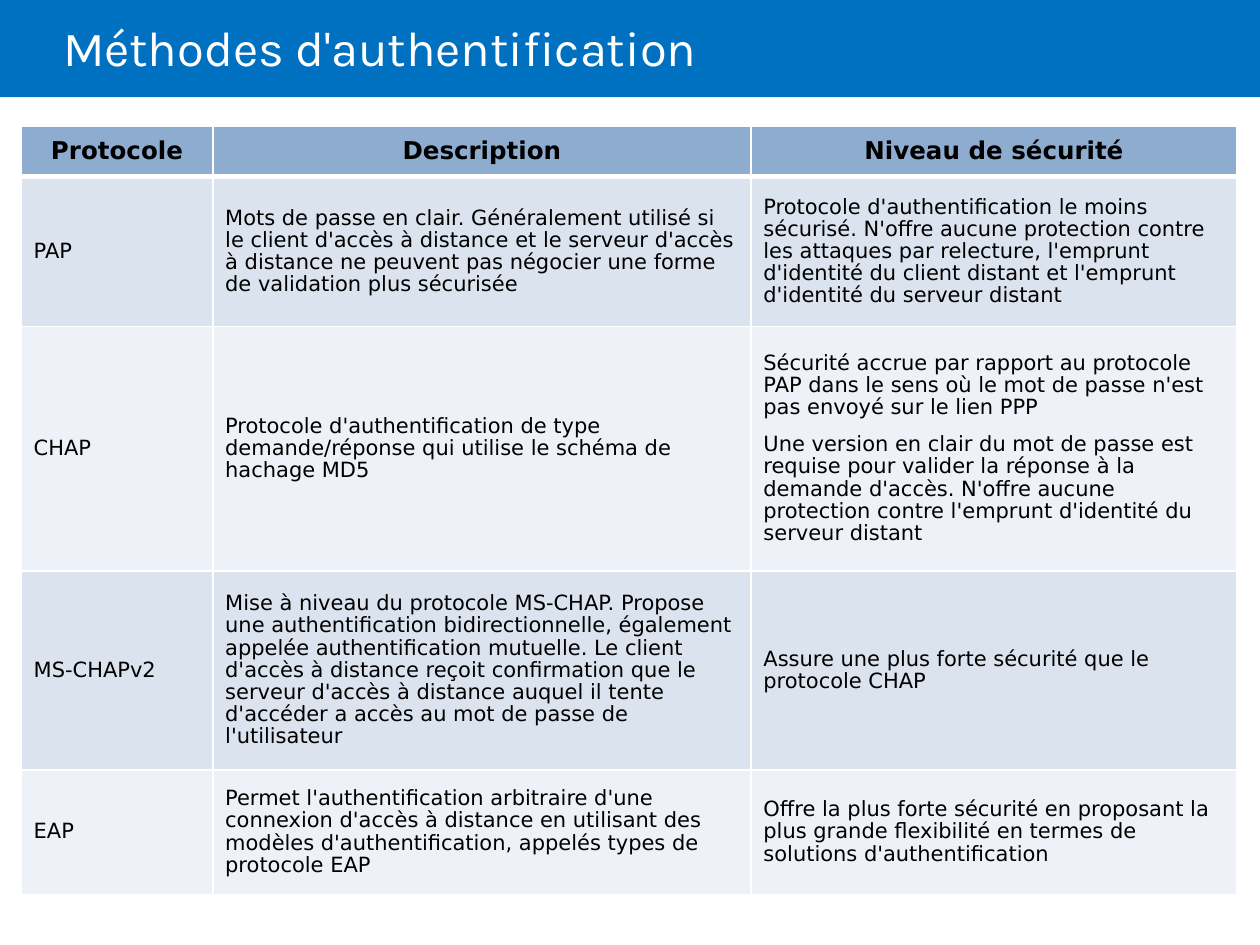
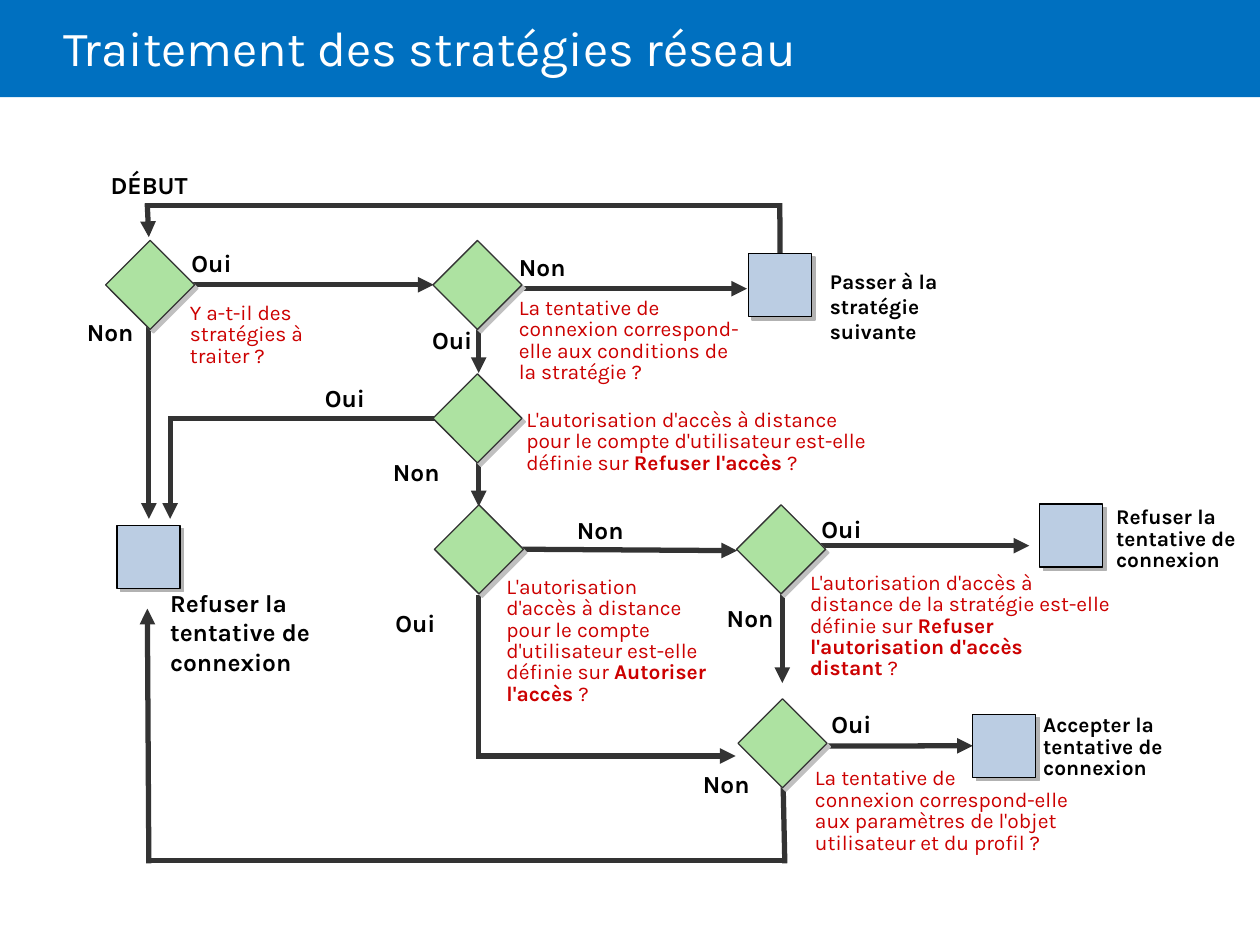
from dataclasses import dataclass
from itertools import pairwise

from lxml.etree import SubElement
from pptx import Presentation
from pptx.dml.color import RGBColor
from pptx.enum.shapes import MSO_CONNECTOR as ConnectorKind, MSO_SHAPE as ShapeKind
from pptx.enum.text import MSO_ANCHOR as Anchor, MSO_AUTO_SIZE as AutoSize, PP_ALIGN as Align
from pptx.oxml.ns import qn
from pptx.shapes.autoshape import Shape
from pptx.shapes.connector import Connector
from pptx.slide import Slide
from pptx.table import _Cell as Cell
from pptx.util import Cm, Pt

# Shared look
WHITE = RGBColor(0xFF, 0xFF, 0xFF)
BLACK = RGBColor(0, 0, 0)
BAND_BLUE = RGBColor(0, 0x70, 0xC0)
HEADER_BLUE = RGBColor(0x8D, 0xAC, 0xD0)
ROW_FILLS = (RGBColor(0xDB, 0xE3, 0xEE), RGBColor(0xEE, 0xF1, 0xF7))
DARK = RGBColor(0x33, 0x33, 0x33)
RED = RGBColor(0xCC, 0, 0)
GREEN = RGBColor(0xAD, 0xE2, 0xA1)
PALE_BLUE = RGBColor(0xBB, 0xCD, 0xE3)
DECISION_SHADOW = RGBColor(0xC0, 0xC0, 0xC0)
RESULT_SHADOW = RGBColor(0xB2, 0xB2, 0xB2)
TITLE_FONT = "Karla"
TABLE_FONT = "DejaVu Sans"
NODE_SIZE = Cm(1.27)

# Table contents; a cell may hold several paragraphs, one per line
COLUMN_WIDTHS = (3.86, 10.85, 9.8)
ROW_HEIGHTS = (0.99, 3.02, 4.93, 4.01, 2.51)
PROTOCOLS = (
    ("Protocole", "Description", "Niveau de sécurité"),
    ("PAP",
     "Mots de passe en clair. Généralement utilisé si le client d'accès à distance et le serveur "
     "d'accès à distance ne peuvent pas négocier une forme de validation plus sécurisée",
     "Protocole d'authentification le moins sécurisé. N'offre aucune protection contre les "
     "attaques par relecture, l'emprunt d'identité du client distant et l'emprunt d'identité "
     "du serveur distant"),
    ("CHAP",
     "Protocole d'authentification de type demande/réponse qui utilise le schéma de hachage MD5",
     "Sécurité accrue par rapport au protocole PAP dans le sens où le mot de passe n'est pas "
     "envoyé sur le lien PPP\n"
     "Une version en clair du mot de passe est requise pour valider la réponse à la demande "
     "d'accès. N'offre aucune protection contre l'emprunt d'identité du serveur distant"),
    ("MS-CHAPv2",
     "Mise à niveau du protocole MS-CHAP. Propose une authentification bidirectionnelle, "
     "également appelée authentification mutuelle. Le client d'accès à distance reçoit "
     "confirmation que le serveur d'accès à distance auquel il tente d'accéder a accès au mot "
     "de passe de l'utilisateur",
     "Assure une plus forte sécurité que le protocole CHAP"),
    ("EAP",
     "Permet l'authentification arbitraire d'une connexion d'accès à distance en utilisant des "
     "modèles d'authentification, appelés types de protocole EAP",
     "Offre la plus forte sécurité en proposant la plus grande flexibilité en termes de "
     "solutions d'authentification"),
)


@dataclass(frozen=True)
class Node:
    name: str
    left: float
    top: float
    is_decision: bool = True


@dataclass(frozen=True)
class Route:
    """Straight segments through the points, ending in an arrowhead."""
    points: tuple[tuple[float, float], ...]
    begin: tuple[str, int] | None = None
    end: tuple[str, int] | None = None


@dataclass(frozen=True)
class Caption:
    left: float
    top: float
    width: float
    height: float
    text: str
    strong: str = ""
    ending: str = ""
    size: int = 12
    spacing: float = 0.85
    bold: bool = False
    color: RGBColor = RED


NODES = (
    Node("stratégies", 2.39, 5.11),
    Node("conditions", 8.99, 5.11),
    Node("compte refusé", 8.99, 7.8),
    Node("compte autorisé", 9.02, 10.44),
    Node("stratégie refusée", 15.11, 10.44),
    Node("profil", 15.14, 14.35),
    Node("suivante", 15.09, 5.11, False),
    Node("refus", 2.36, 10.59, False),
    Node("refus stratégie", 20.96, 10.16, False),
    Node("accord", 19.61, 14.4, False),
)

ROUTES = (
    Route(((3.45, 5.74), (8.74, 5.74))),
    Route(((3, 5.61), (3, 10.46))),
    Route(((10.41, 5.82), (15.06, 5.82))),
    Route(((9.65, 6.32), (9.65, 7.52))),
    Route(((9.65, 8.71), (9.65, 10.21))),
    Route(((9.65, 12.04), (9.65, 15.24), (14.83, 15.24))),
    Route(((15.77, 11.61), (15.77, 13.77))),
    Route(((15.77, 15.04), (15.82, 17.35), (3, 17.35), (2.97, 12.27))),
    Route(((8.84, 8.43), (3.43, 8.43), (3.43, 10.46))),
    Route(((15.65, 11), (20.75, 11))),
    Route(((15.14, 15.04), (19.61, 15.04)), end=("accord", 1)),
    Route(((10.26, 11.07), (14.86, 11.1))),
    Route(((15.72, 5.11), (15.72, 4.15), (2.97, 4.15), (3, 4.78)), begin=("suivante", 0)),
)

QUESTIONS = (
    Caption(3.58, 5.99, 4.01, 1.57, "Y a-t-il des stratégies à traiter ?"),
    Caption(10.21, 5.89, 5.08, 2.01,
            "La tentative de connexion correspond-elle aux conditions de la stratégie ?"),
    Caption(10.36, 8.15, 7.72, 1.57,
            "L'autorisation d'accès à distance pour le compte d'utilisateur est-elle définie sur ",
            "Refuser l'accès", " ?"),
    Caption(9.96, 11.51, 4.65, 2.44,
            "L'autorisation d'accès à distance pour le compte d'utilisateur est-elle définie sur ",
            "Autoriser l'accès", " ?"),
    Caption(16.08, 11.43, 6.58, 2.01,
            "L'autorisation d'accès à distance de la stratégie est-elle définie sur ",
            "Refuser l'autorisation d'accès distant", " ?"),
    Caption(16.18, 15.37, 5.61, 2.01,
            "La tentative de \vconnexion correspond-elle aux paramètres de l'objet utilisateur "
            "et du profil ?"),
)

REFUSAL = "Refuser la tentative de connexion"
RESULTS = (
    Caption(3.18, 11.73, 3.81, 2.06, REFUSAL, size=14, spacing=1, bold=True, color=BLACK),
    Caption(16.48, 5.28, 4.11, 1.27, "Passer à la stratégie suivante",
            spacing=1, bold=True, color=BLACK),
    Caption(20.78, 14.3, 3.56, 1.57, "Accepter la tentative de connexion",
            bold=True, color=BLACK),
    Caption(22.25, 10.11, 3.15, 1.57, REFUSAL, bold=True, color=BLACK),
)

ANSWERS = {
    "DÉBUT": ((1.98, 3.3),),
    "Oui": ((3.61, 4.88), (8.46, 6.43), (7.72, 12.14), (6.3, 7.59), (16.31, 10.24),
            (16.51, 14.17)),
    "Non": ((10.21, 4.95), (13.92, 15.37), (14.4, 12.04), (7.67, 9.09), (11.38, 10.26),
            (1.5, 6.27)),
}


def set_font(para, name: str, size: float, color: RGBColor, bold: bool = False) -> None:
    font = para.font
    font.name, font.size, font.bold = name, Pt(size), bold
    font.color.rgb = color


def add_page(deck, title: str) -> Slide:
    """Title-only page with the blue band behind its title."""
    page = deck.slides.add_slide(deck.slide_layouts[5])
    band = page.shapes.add_shape(ShapeKind.RECTANGLE, 0, 0, deck.slide_width, Cm(1.96))
    band.shadow.inherit = False
    band.fill.solid()
    band.fill.fore_color.rgb = BAND_BLUE
    band.line.fill.background()
    page.shapes._spTree.insert(2, band._element)

    heading = page.shapes.title
    heading.left, heading.top, heading.width, heading.height = Cm(1.27), 0, Cm(21.59), Cm(2.06)
    frame = heading.text_frame
    frame.auto_size = AutoSize.NONE
    frame.word_wrap = True
    frame.vertical_anchor = Anchor.MIDDLE
    frame.margin_left = 0
    para = frame.paragraphs[0]
    para.text = title
    para.alignment = Align.LEFT
    para.line_spacing = 0.85
    set_font(para, TITLE_FONT, 28, WHITE)
    return page


def add_solid_color(parent, color: RGBColor) -> None:
    SubElement(SubElement(parent, qn("a:solidFill")), qn("a:srgbClr"), val=str(color))


def fill_cell(cell: Cell, text: str, fill: RGBColor, is_header: bool) -> None:
    properties = cell._tc.get_or_add_tcPr()
    for side in ("L", "R", "T", "B"):
        width = Pt(3 if is_header and side == "B" else 1)
        add_solid_color(SubElement(properties, qn(f"a:ln{side}"), w=str(width)), WHITE)
    cell.fill.solid()
    cell.fill.fore_color.rgb = fill
    cell.vertical_anchor = Anchor.MIDDLE
    cell.margin_left = cell.margin_right = cell.margin_top = cell.margin_bottom = Cm(0.25)
    cell.text = text
    for index, para in enumerate(cell.text_frame.paragraphs):
        para.alignment = Align.CENTER if is_header else Align.LEFT
        para.line_spacing = 0.9
        if index:
            para.space_before = Pt(8.4)
        set_font(para, TABLE_FONT, 14 if is_header else 12, BLACK, is_header)


def add_protocol_table(page: Slide) -> None:
    table = page.shapes.add_table(
        len(ROW_HEIGHTS), len(COLUMN_WIDTHS), Cm(0.43), Cm(2.54),
        Cm(sum(COLUMN_WIDTHS)), Cm(sum(ROW_HEIGHTS))).table
    for column, width in zip(table.columns, COLUMN_WIDTHS):
        column.width = Cm(width)
    for index, (row, height, texts) in enumerate(zip(table.rows, ROW_HEIGHTS, PROTOCOLS)):
        row.height = Cm(height)
        fill = ROW_FILLS[(index - 1) % 2] if index else HEADER_BLUE
        for cell, text in zip(row.cells, texts):
            fill_cell(cell, text, fill, index == 0)


def add_node(page: Slide, node: Node) -> Shape:
    box = page.shapes.add_shape(
        ShapeKind.RECTANGLE, Cm(node.left), Cm(node.top), NODE_SIZE, NODE_SIZE)
    box.rotation = 45 if node.is_decision else 0
    box.fill.solid()
    box.fill.fore_color.rgb = GREEN if node.is_decision else PALE_BLUE
    box.line.color.rgb = DARK if node.is_decision else BLACK
    box.line.width = Pt(0.75)
    box.shadow.inherit = False
    effects = box._element.spPr.find(qn("a:effectLst"))
    shadow = SubElement(effects, qn("a:outerShdw"), dist=str(Pt(2.8)), dir="2700000",
                        algn="ctr", rotWithShape="0")
    SubElement(shadow, qn("a:srgbClr"),
               val=str(DECISION_SHADOW if node.is_decision else RESULT_SHADOW))
    return box


def add_route(page: Slide, route: Route) -> list[Connector]:
    segments = []
    for (x1, y1), (x2, y2) in pairwise(route.points):
        segment = page.shapes.add_connector(
            ConnectorKind.STRAIGHT, Cm(x1), Cm(y1), Cm(x2), Cm(y2))
        segment.line.color.rgb = DARK
        segment.line.width = Pt(3)
        segment.line._get_or_add_ln().set("cap", "sq")
        SubElement(segment._element.spPr, qn("a:effectLst"))
        segments.append(segment)
    SubElement(segments[-1].line._get_or_add_ln(), qn("a:tailEnd"), type="triangle")
    return segments


def add_caption(page: Slide, caption: Caption) -> None:
    box = page.shapes.add_textbox(
        Cm(caption.left), Cm(caption.top), Cm(caption.width), Cm(caption.height))
    frame = box.text_frame
    frame.word_wrap = True
    frame.auto_size = AutoSize.SHAPE_TO_FIT_TEXT
    para = frame.paragraphs[0]
    para.text = caption.text
    para.line_spacing = caption.spacing
    set_font(para, TITLE_FONT, caption.size, caption.color, caption.bold)
    if caption.strong:
        span = para.add_run()
        span.text = caption.strong
        span.font.bold = True
        para.add_run().text = caption.ending


def add_flowchart(page: Slide) -> None:
    # Lines lie under the nodes, so they are joined once the nodes exist
    drawn_routes = [(route, add_route(page, route)) for route in ROUTES]
    boxes = {node.name: add_node(page, node) for node in NODES}
    for route, segments in drawn_routes:
        if route.begin:
            name, side = route.begin
            segments[0].begin_connect(boxes[name], side)
        if route.end:
            name, side = route.end
            segments[-1].end_connect(boxes[name], side)

    answers = tuple(
        Caption(left, top, 2.74, 0.86, text, size=14, spacing=1, bold=True, color=BLACK)
        for text, places in ANSWERS.items() for left, top in places)
    for caption in QUESTIONS + RESULTS + answers:
        add_caption(page, caption)


def main() -> None:
    deck = Presentation()
    deck.slide_width, deck.slide_height = Cm(25.4), Cm(19.05)
    add_protocol_table(add_page(deck, "Méthodes d'authentification"))
    add_flowchart(add_page(deck, "Traitement des stratégies réseau"))
    deck.save("out.pptx")


if __name__ == "__main__":
    main()
